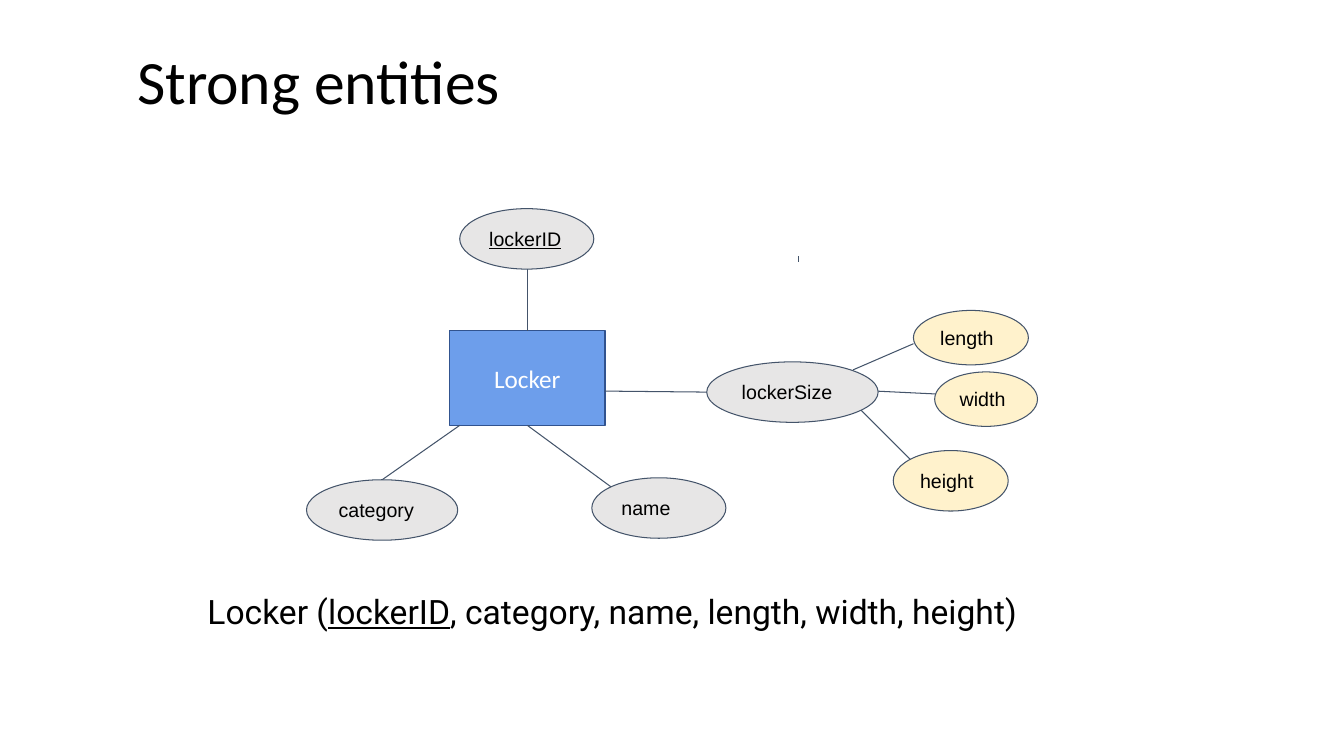
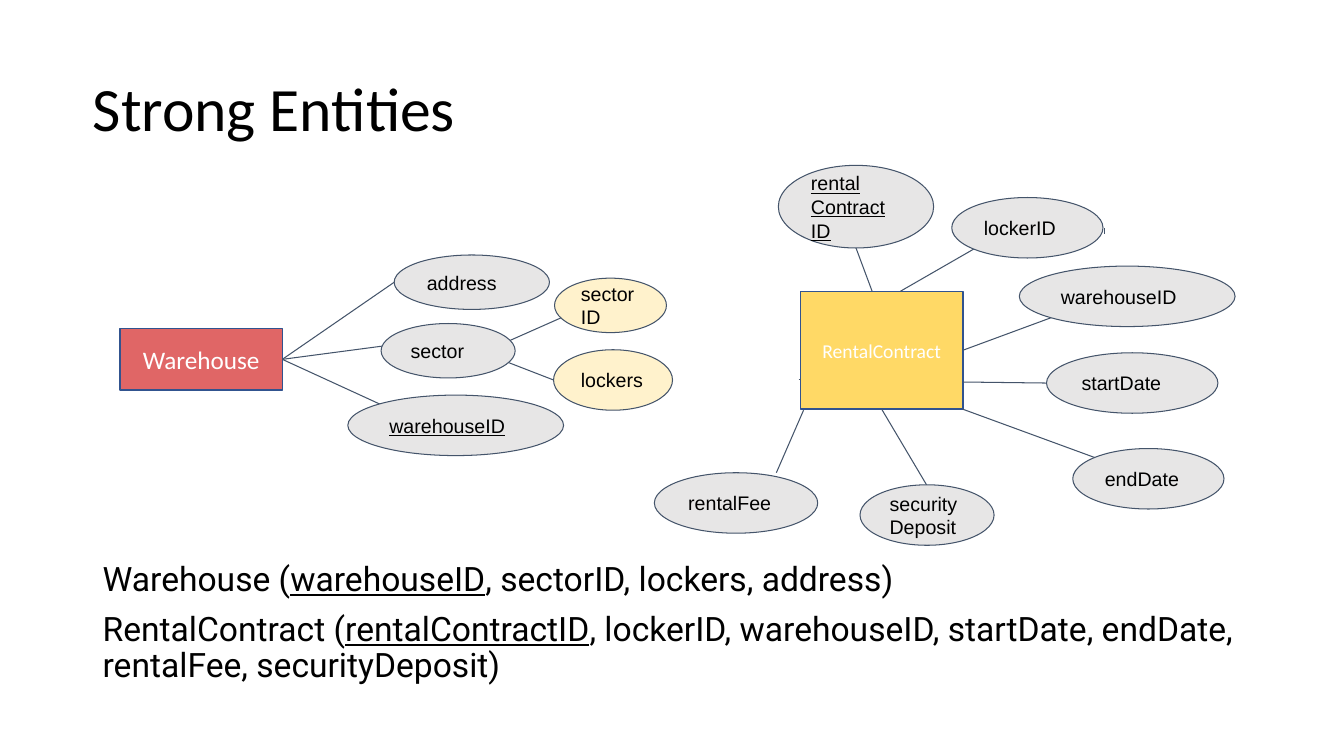
from dataclasses import dataclass

from pptx import Presentation
from pptx.dml.color import RGBColor
from pptx.enum.shapes import MSO_CONNECTOR, MSO_SHAPE
from pptx.enum.text import MSO_ANCHOR, MSO_AUTO_SIZE, PP_ALIGN
from pptx.oxml.ns import qn
from pptx.util import Inches, Pt
from lxml import etree

LEFT, CENTER = PP_ALIGN.LEFT, PP_ALIGN.CENTER
TOP_ANCHOR, MIDDLE = MSO_ANCHOR.TOP, MSO_ANCHOR.MIDDLE
ELLIPSE, RECTANGLE = MSO_SHAPE.OVAL, MSO_SHAPE.RECTANGLE
STRAIGHT = MSO_CONNECTOR.STRAIGHT
NO_AUTOFIT = MSO_AUTO_SIZE.NONE
TITLE_ONLY = 5
# Connection sites of a rectangle
TOP, BOTTOM, RIGHT = 0, 2, 3


@dataclass(frozen=True)
class Theme:
    ink: str = "000000"
    white: str = "FFFFFF"
    attribute: str = "E7E6E6"
    component: str = "FFF2CC"
    link: str = "44546A"
    entity_line: str = "31538F"
    locker: str = "6D9EEB"
    warehouse: str = "E06666"
    contract: str = "FFD966"
    heading_font: str = "Calibri"
    schema_font: str = "Roboto"
    label_font: str = "Arial"
    title_size: int = 44
    schema_size: int = 24
    entity_size: int = 18
    label_size: int = 14


THEME = Theme()


def color(value):
    return RGBColor.from_string(value)


def add_span(para, text, *, font, size, ink=THEME.ink, underline=False):
    span = para.add_run()
    span.text = text
    span.font.name = font
    span.font.size = Pt(size)
    span.font.color.rgb = color(ink)
    span.font.underline = underline


def write(box, paragraphs, *, align=LEFT, anchor=MIDDLE, inset=0.05,
          spacing=None, before=0, **span_format):
    """Each paragraph is a list of (text, underline) pairs."""
    frame = box.text_frame
    frame.word_wrap = True
    frame.auto_size = NO_AUTOFIT
    frame.vertical_anchor = anchor
    frame.margin_left = frame.margin_right = Inches(0.1)
    frame.margin_top = frame.margin_bottom = Inches(inset)
    for index, spans in enumerate(paragraphs):
        para = frame.add_paragraph() if index else frame.paragraphs[0]
        para.alignment = align
        if spacing:
            para.line_spacing = spacing
        if index:
            para.space_before = Pt(before)
        for text, underline in spans:
            add_span(para, text, underline=underline, **span_format)


def add_title(page, text, left, top):
    title = page.shapes.title
    title.left, title.top = Inches(left), Inches(top)
    title.width, title.height = Inches(11.5), Inches(1.45)
    write(title, [[(text, False)]], spacing=0.9,
          font=THEME.heading_font, size=THEME.title_size)


def add_schemas(page, schemas, left, top, height):
    """Relations as (name, key, other attributes), the key underlined."""
    box = page.shapes.add_textbox(Inches(left), Inches(top), Inches(11.5), Inches(height))
    paragraphs = [[(f"{name} (", False), (key, True), (f", {others})", False)]
                  for name, key, others in schemas]
    write(box, paragraphs, anchor=TOP_ANCHOR, spacing=0.9, before=10,
          font=THEME.schema_font, size=THEME.schema_size)


def add_diagram(page, left, top, entity, attributes, ticks=()):
    """Places an entity, its links and its attributes relative to (left, top)."""

    def point(x, y):
        return Inches(left + x), Inches(top + y)

    def shape(kind, at, fill, line, line_width):
        x, y, width, height = at
        box = page.shapes.add_shape(kind, *point(x, y), Inches(width), Inches(height))
        box.shadow.inherit = False
        box.fill.solid()
        box.fill.fore_color.rgb = color(fill)
        box.line.color.rgb = color(line)
        box.line.width = Pt(line_width)
        return box

    def link(start, end):
        """A start is a point or a connection site of the entity."""
        on_site = isinstance(start, int)
        begin = end if on_site else start
        line = page.shapes.add_connector(STRAIGHT, *point(*begin), *point(*end))
        if on_site:
            line.begin_connect(entity_box, start)
        line.line.color.rgb = color(THEME.link)
        line.line.width = Pt(0.75)
        etree.SubElement(line._element.spPr, qn("a:effectLst"))

    # Entity
    name, at, fill, size = entity
    entity_box = shape(RECTANGLE, at, fill, THEME.entity_line, 1)
    write(entity_box, [[(name, False)]], align=CENTER,
          font=THEME.heading_font, size=size, ink=THEME.white)

    # Links, under the attributes
    for _, _, _, _, start, end in attributes:
        link(start, end)
    for start, end in ticks:
        link(start, end)

    # Attributes
    for label, at, fill, is_key, _, _ in attributes:
        box = shape(ELLIPSE, at, fill, THEME.link, 0.75)
        write(box, [[(text, is_key)] for text in label.split("\n")], inset=0.1,
              font=THEME.label_font, size=THEME.label_size)


# Entities: name, box, fill, type size
# Attributes: label, box, fill, is key, link start, link end
GREY, CREAM = THEME.attribute, THEME.component

LOCKER = ("Locker", (1.46, 1.28, 1.54, 0.94), THEME.locker, THEME.entity_size)
LOCKER_ATTRIBUTES = [
    ("lockerID", (1.56, 0.07, 1.33, 0.6), GREY, True, TOP, (2.23, 0.66)),
    ("lockerSize", (4.01, 1.59, 1.7, 0.6), GREY, False, (3, 1.88), (4.01, 1.89)),
    ("category", (0.04, 2.76, 1.5, 0.6), GREY, False, (1.56, 2.22), (0.79, 2.76)),
    ("name", (2.87, 2.74, 1.33, 0.6), GREY, False, BOTTOM, (3.06, 2.83)),
    ("length", (6.06, 1.08, 1.14, 0.54), CREAM, False, (5.46, 1.67), (6.06, 1.41)),
    ("width", (6.27, 1.69, 1.02, 0.54), CREAM, False, (5.69, 1.88), (6.31, 1.91)),
    ("height", (5.86, 2.47, 1.14, 0.6), CREAM, False, (5.53, 2.06), (6.04, 2.57)),
]
LOCKER_TICKS = [((4.92, 0.54), (4.92, 0.6))]

WAREHOUSE = ("Warehouse", (0.19, 0.76, 1.61, 0.61), THEME.warehouse, THEME.entity_size)
WAREHOUSE_ATTRIBUTES = [
    ("address", (2.91, 0.03, 1.54, 0.54), GREY, False, RIGHT, (2.91, 0.3)),
    ("sector", (2.78, 0.71, 1.33, 0.54), GREY, False, RIGHT, (2.82, 0.93)),
    ("warehouseID", (2.45, 1.42, 2.14, 0.6), GREY, True, RIGHT, (2.77, 1.51)),
    ("sector\nID", (4.5, 0.26, 1.11, 0.54), CREAM, False, (3.94, 0.93), (4.64, 0.62)),
    ("lockers", (4.49, 0.97, 1.18, 0.6), CREAM, False, (4, 1.08), (4.49, 1.27)),
]

CONTRACT = ("RentalContract", (1.94, 1.39, 1.61, 1.17), THEME.contract, THEME.label_size)
CONTRACT_ATTRIBUTES = [
    ("rental Contract ID", (1.72, 0.14, 1.54, 0.82), GREY, True, (2.65, 1.39), (2.49, 0.96)),
    ("lockerID", (3.44, 0.46, 1.5, 0.6), GREY, False, (2.93, 1.39), (3.66, 0.97)),
    ("warehouseID", (4.11, 1.14, 2.14, 0.6), GREY, False, RIGHT, (4.43, 1.65)),
    ("startDate", (4.38, 2, 1.7, 0.6), GREY, False, (3.55, 2.29), (4.38, 2.3)),
    ("endDate", (4.64, 2.95, 1.5, 0.6), GREY, False, (3.55, 2.56), (4.86, 3.04)),
    ("securityDeposit", (2.53, 3.31, 1.33, 0.6), GREY, False, BOTTOM, (3.19, 3.31)),
    ("rentalFee", (0.49, 3.19, 1.62, 0.6), GREY, False, (1.97, 2.57), (1.7, 3.19)),
]
CONTRACT_TICKS = [((4.95, 0.76), (4.95, 0.82)), ((1.92, 2.27), (1.94, 2.27))]


def add_page(deck):
    return deck.slides.add_slide(deck.slide_layouts[TITLE_ONLY])


def build_locker_page(deck):
    page = add_page(deck)
    add_title(page, "Strong entities", 1.26, 0.11)
    add_schemas(page, [("Locker", "lockerID", "category, name, length, width, height")],
                1.96, 5.86, 0.94)
    add_diagram(page, 3, 2, LOCKER, LOCKER_ATTRIBUTES, LOCKER_TICKS)


def build_contract_page(deck):
    page = add_page(deck)
    add_title(page, "Strong Entities", 0.82, 0.38)
    add_schemas(page, [
        ("Warehouse", "warehouseID", "sectorID, lockers, address"),
        ("RentalContract", "rentalContractID",
         "lockerID, warehouseID, startDate, endDate, rentalFee, securityDeposit"),
    ], 0.92, 5.53, 1.7)
    add_diagram(page, 1, 2.5, WAREHOUSE, WAREHOUSE_ATTRIBUTES)
    add_diagram(page, 6, 1.5, CONTRACT, CONTRACT_ATTRIBUTES, CONTRACT_TICKS)


def main():
    deck = Presentation()
    deck.slide_width, deck.slide_height = Inches(13.33), Inches(7.5)
    build_locker_page(deck)
    build_contract_page(deck)
    deck.save("out.pptx")


if __name__ == "__main__":
    main()
